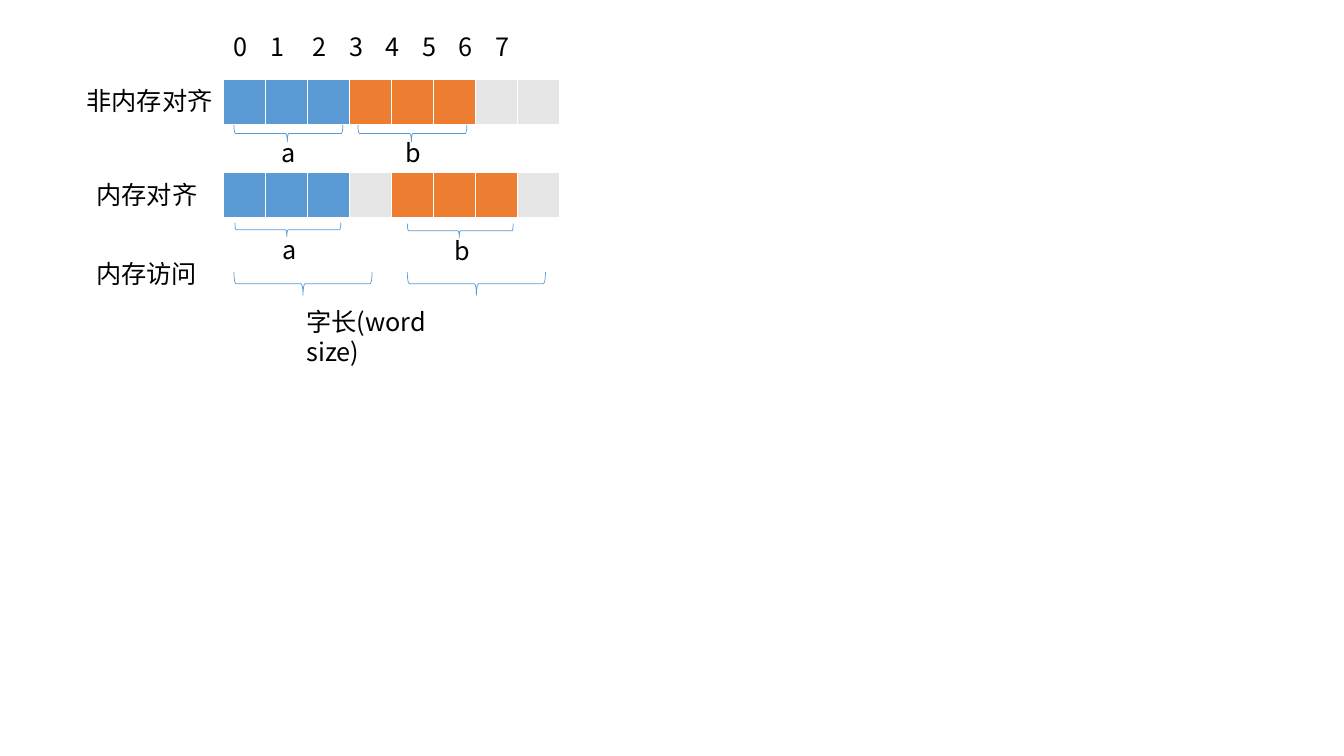
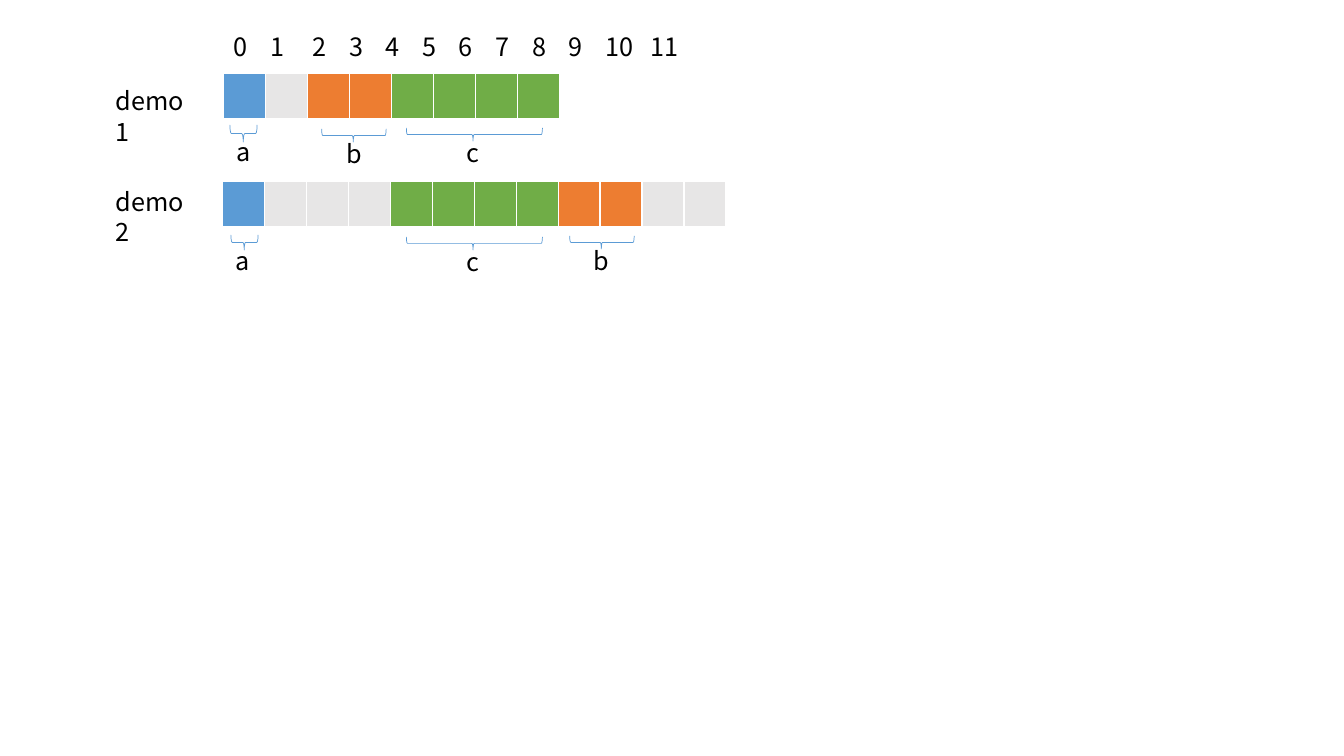
from pptx import Presentation
from pptx.dml.color import RGBColor
from pptx.enum.shapes import MSO_SHAPE
from pptx.enum.text import MSO_AUTO_SIZE, PP_ALIGN
from pptx.oxml.ns import qn
from pptx.util import Inches, Pt
from lxml import etree

BRACE = MSO_SHAPE.RIGHT_BRACE
GROW = MSO_AUTO_SIZE.SHAPE_TO_FIT_TEXT
LEFT, CENTER = PP_ALIGN.LEFT, PP_ALIGN.CENTER

FONT = "Noto Sans CJK SC"
BLACK = "000000"
BLUE = "5B9BD5"
# One letter per byte of memory; a dash is padding
BYTE_COLOURS = {"a": BLUE, "b": "ED7D31", "c": "70AD47", "-": "E7E6E6"}
BYTE_WIDTH = 4.99 / 12
ROW_HEIGHT = 0.45
# Tab stops of byte numbers 1 to 11
NUMBER_STOPS = [0.36, 0.78, 1.15, 1.51, 1.87, 2.23, 2.6, 2.96, 3.32, 3.69, 4.13]

slides = [
    {
        "numbers": (8, 3.44),
        # text, left, top, width, alignment
        "captions": [
            ("非内存对齐", 0.76, 0.8, 1.47, LEFT),
            ("内存对齐", 0.86, 1.73, 1.47, LEFT),
            ("内存访问", 0.8, 2.51, 1.31, CENTER),
            ("字长(word size)", 2.94, 2.99, 1.94, LEFT),
        ],
        # bytes, left, top
        "rows": [("aaabbb--", 2.22, 0.79), ("aaa-bbb-", 2.22, 1.71)],
        # letter, left, top, width
        "letters": [
            ("a", 2.69, 1.31, 0.49), ("b", 3.92, 1.31, 0.49),
            ("a", 2.7, 2.28, 0.48), ("b", 4.41, 2.29, 0.48),
        ],
        # left, top, length, depth, position of the tip
        "braces": [
            (2.32, 1.24, 1.08, 0.17, 0.51), (3.55, 1.24, 1.08, 0.17, 0.51),
            (2.33, 2.21, 1.05, 0.14, 0.51), (4.04, 2.22, 1.05, 0.14, 0.51),
            (2.32, 2.7, 1.37, 0.23, 0.5), (4.04, 2.7, 1.37, 0.23, 0.5),
        ],
    },
    {
        "numbers": (12, 5.09),
        "captions": [
            ("demo1", 1.05, 0.8, 0.99, LEFT),
            ("demo2", 1.05, 1.8, 0.99, LEFT),
        ],
        "rows": [("a-bbcccc", 2.22, 0.73), ("a---ccccbb--", 2.21, 1.8)],
        "letters": [
            ("a", 2.25, 1.3, 0.49), ("b", 3.34, 1.32, 0.49), ("c", 4.53, 1.31, 0.49),
            ("a", 2.24, 2.38, 0.26), ("c", 4.53, 2.39, 0.49), ("b", 5.79, 2.38, 0.49),
        ],
        "braces": [
            (2.28, 1.24, 0.27, 0.17, 0.51), (3.19, 1.28, 0.64, 0.13, 0.51),
            (4.03, 1.27, 1.35, 0.13, 0.51), (2.29, 2.33, 0.27, 0.15, 0.51),
            (4.03, 2.35, 1.35, 0.13, 0.51), (5.65, 2.34, 0.64, 0.13, 0.51),
        ],
    },
]


def colour(value):
    return RGBColor.from_string(value)


def add_text(page, text, left, top, width, alignment=LEFT):
    box = page.shapes.add_textbox(Inches(left), Inches(top), Inches(width), Inches(0.4))
    box.text_frame.word_wrap = True
    box.text_frame.auto_size = GROW
    para = box.text_frame.paragraphs[0]
    para.text = text
    para.alignment = alignment
    for span in para.runs:
        span.font.size = Pt(18)
        span.font.name = FONT
        span.font.color.rgb = colour(BLACK)
        east_asian = etree.SubElement(span.font._element, qn("a:ea"))
        east_asian.set("typeface", FONT)
    return para


deck = Presentation()
deck.slide_width = Inches(13.33)
deck.slide_height = Inches(7.5)

for content in slides:
    page = deck.slides.add_slide(deck.slide_layouts[6])

    # Byte numbers, spread by tab stops
    count, width = content["numbers"]
    para = add_text(page, "\t".join(str(n) for n in range(count)), 2.22, 0.26, width)
    stops = etree.SubElement(para._p.get_or_add_pPr(), qn("a:tabLst"))
    for position in NUMBER_STOPS[:count - 1]:
        stop = etree.SubElement(stops, qn("a:tab"))
        stop.set("pos", str(Inches(position)))
        stop.set("algn", "l")

    # Memory rows
    for layout, left, top in content["rows"]:
        table = page.shapes.add_table(
            1, len(layout), Inches(left), Inches(top),
            Inches(BYTE_WIDTH * len(layout)), Inches(ROW_HEIGHT)).table
        for cell, letter in zip(table.rows[0].cells, layout):
            cell.fill.solid()
            cell.fill.fore_color.rgb = colour(BYTE_COLOURS[letter])

    # Braces pointing down: a right brace turned about its centre
    for left, top, length, depth, tip in content["braces"]:
        brace = page.shapes.add_shape(
            BRACE, Inches(left + (length - depth) / 2), Inches(top + (depth - length) / 2),
            Inches(depth), Inches(length))
        brace.rotation = 90
        brace.adjustments[1] = tip
        brace.shadow.inherit = False
        brace.fill.background()
        brace.line.color.rgb = colour(BLUE)
        brace.line.width = Pt(0.5)

    # Captions and variable names
    for caption in content["captions"] + content["letters"]:
        add_text(page, *caption)

deck.save("out.pptx")
